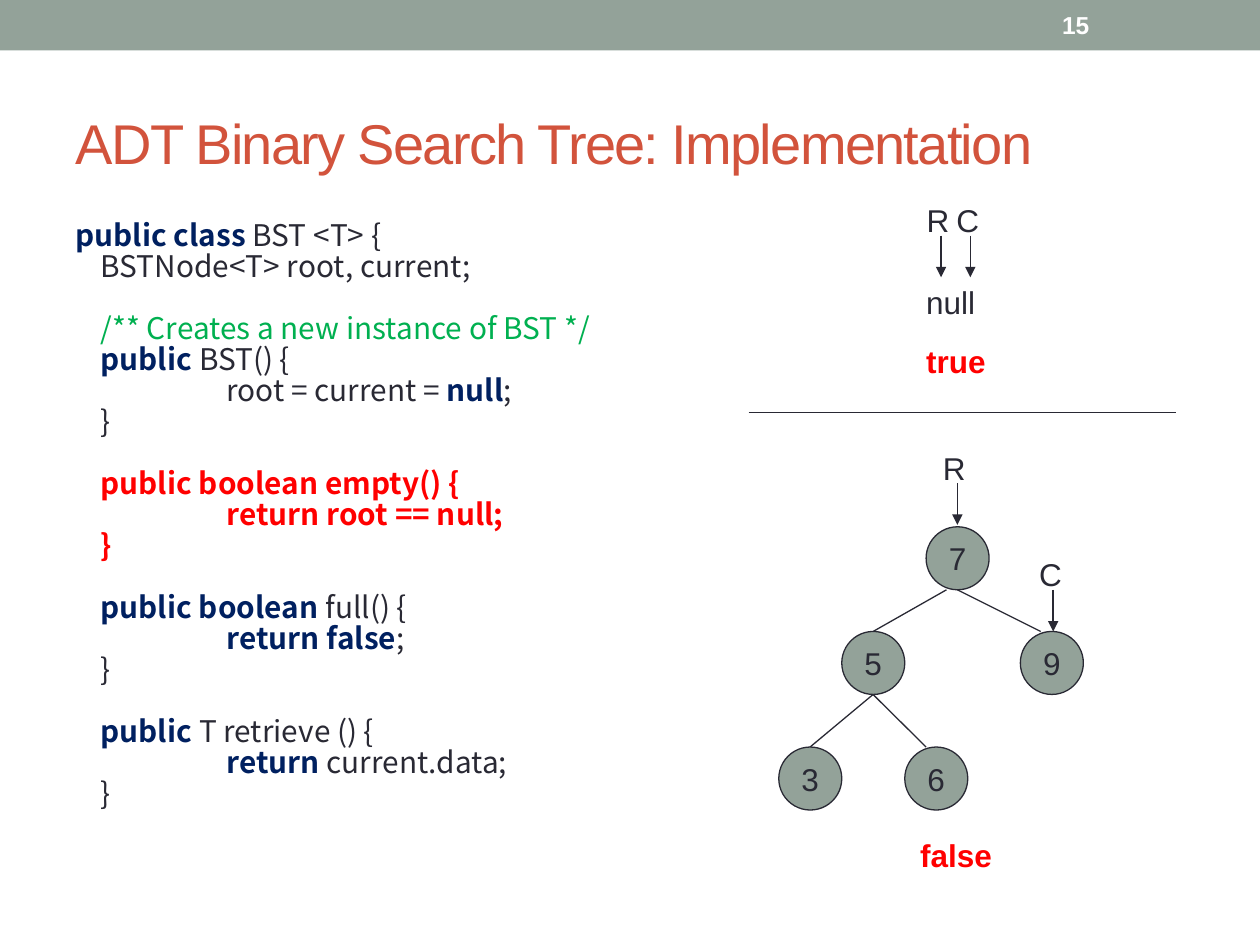
from lxml import etree
from pptx import Presentation
from pptx.dml.color import RGBColor
from pptx.enum.shapes import MSO_CONNECTOR, MSO_SHAPE
from pptx.enum.text import MSO_ANCHOR, PP_ALIGN
from pptx.oxml.ns import qn
from pptx.util import Cm, Pt

STRAIGHT = MSO_CONNECTOR.STRAIGHT
RECTANGLE, OVAL = MSO_SHAPE.RECTANGLE, MSO_SHAPE.OVAL
TOP, MIDDLE = MSO_ANCHOR.TOP, MSO_ANCHOR.MIDDLE
LEFT, CENTER = PP_ALIGN.LEFT, PP_ALIGN.CENTER

SAGE = RGBColor(0x93, 0xA2, 0x99)
INK = RGBColor(0x29, 0x29, 0x34)
RUST = RGBColor(0xD2, 0x53, 0x3C)
NAVY = RGBColor(0x00, 0x20, 0x60)
GREEN = RGBColor(0x00, 0xB0, 0x50)
RED = RGBColor(0xFF, 0x00, 0x00)
WHITE = RGBColor(0xFF, 0xFF, 0xFF)

# Text formats
TITLE = {"name": "Arial", "size": Pt(32), "bold": False, "color": RUST}
NUMBER = {"name": "Arial", "size": Pt(14), "bold": True, "color": WHITE}
LABEL = {"name": "Arial", "size": Pt(18), "bold": False, "color": INK}
RESULT = {**LABEL, "bold": True, "color": RED}
PLAIN = {"name": "Noto Sans CJK SC", "size": Pt(17), "bold": False, "color": INK}
KEYWORD = {**PLAIN, "bold": True, "color": NAVY}
COMMENT = {**PLAIN, "color": GREEN}
MARKED = {**PLAIN, "bold": True, "color": RED}

# Code blocks: each line is an indent level followed by its spans
INDENTS = (Cm(0), Cm(0.51), Cm(3.05))
LINE_GAP, BLOCK_GAP = Pt(3.4), Pt(21.1)
CLOSING = (1, ("}", PLAIN))
CODE_BLOCKS = [
    [(0, ("public class ", KEYWORD), ("BST <T> {", PLAIN)),
     (1, ("BSTNode<T> root, current;", PLAIN))],
    [(1, ("/** Creates a new instance of BST */", COMMENT)),
     (1, ("public ", KEYWORD), ("BST() {", PLAIN)),
     (2, ("root = current = ", PLAIN), ("null", KEYWORD), (";", PLAIN)),
     CLOSING],
    [(1, ("public boolean empty() {", MARKED)),
     (2, ("return root == null;", MARKED)),
     (1, ("}", MARKED))],
    [(1, ("public boolean ", KEYWORD), ("full() {", PLAIN)),
     (2, ("return false", KEYWORD), (";", PLAIN)),
     CLOSING],
    [(1, ("public ", KEYWORD), ("T retrieve () {", PLAIN)),
     (2, ("return ", KEYWORD), ("current.data;", PLAIN)),
     CLOSING],
]

# Tree and labels, in centimetres
NODE_SIZE = 1.27
NODES = [("7", 18.67, 10.62), ("5", 16.97, 12.73), ("9", 20.57, 12.73),
         ("3", 15.7, 15.06), ("6", 18.24, 15.06)]
EDGES = [(19.08, 11.89, 17.6, 12.73), (19.3, 11.89, 20.98, 12.73),
         (17.6, 14, 16.33, 15.06), (17.6, 14, 18.67, 15.06)]
LABEL_HEIGHT = 1.02
ARROW_OFFSET, ARROW_LENGTH = 0.82, 0.84
POINTERS = [("R", 18.43, 3.93, 18.97), ("C", 19.03, 3.93, 19.56),
            ("R", 18.76, 8.92, 19.3), ("C", 20.7, 11.07, 21.23)]
WORDS = [("null", 18.42, 5.58, 1.68, LABEL), ("true", 18.42, 6.78, 1.78, RESULT),
         ("false", 18.3, 16.73, 1.98, RESULT)]


def add_span(para, text, style):
    span = para.add_run()
    span.text = text
    for name, value in style.items():
        if name == "color":
            span.font.color.rgb = value
        else:
            setattr(span.font, name, value)
    return span


def add_title(page, text):
    title = page.shapes.title
    title.left, title.top, title.width, title.height = (
        Cm(1.27), Cm(1.49), Cm(22.86), Cm(2.74))
    title.text_frame.vertical_anchor = MIDDLE
    para = title.text_frame.paragraphs[0]
    para.alignment = LEFT
    span = add_span(para, text, TITLE)
    span.font._element.set("spc", "-100")


def add_box(page, left, top, width, height, anchor=TOP):
    box = page.shapes.add_textbox(Cm(left), Cm(top), Cm(width), Cm(height))
    box.text_frame.word_wrap = True
    box.text_frame.vertical_anchor = anchor
    return box.text_frame


def add_label(page, text, left, top, width, style, height=LABEL_HEIGHT, anchor=TOP):
    frame = add_box(page, left, top, width, height, anchor)
    frame.margin_right = 0
    add_span(frame.paragraphs[0], text, style)


def add_code(page):
    frame = add_box(page, 1.27, 4.45, 22.86, 13.54)
    para = frame.paragraphs[0]
    for block_index, block in enumerate(CODE_BLOCKS):
        for line_index, (level, *spans) in enumerate(block):
            if block_index or line_index:
                para = frame.add_paragraph()
            starts_block = block_index and not line_index
            para.space_before = BLOCK_GAP if starts_block else LINE_GAP
            para.line_spacing = 0.7
            para._p.get_or_add_pPr().set("marL", str(INDENTS[level]))
            for text, style in spans:
                add_span(para, text, style)


def add_filled(page, kind, left, top, width, height):
    shape = page.shapes.add_shape(kind, Cm(left), Cm(top), Cm(width), Cm(height))
    shape.shadow.inherit = False
    shape.fill.solid()
    shape.fill.fore_color.rgb = SAGE
    return shape


def add_node(page, text, left, top):
    node = add_filled(page, OVAL, left, top, NODE_SIZE, NODE_SIZE)
    node.line.color.rgb = INK
    node.line.width = Pt(0.75)
    frame = node.text_frame
    frame.word_wrap = False
    frame.vertical_anchor = MIDDLE
    para = frame.paragraphs[0]
    para.alignment = CENTER
    add_span(para, text, LABEL)


def add_line(page, x1, y1, x2, y2, arrow=False):
    line = page.shapes.add_connector(STRAIGHT, Cm(x1), Cm(y1), Cm(x2), Cm(y2))
    line.line.color.rgb = INK
    line.line.width = Pt(0.75)
    if arrow:
        head = etree.SubElement(line.line._get_or_add_ln(), qn("a:tailEnd"))
        head.set("type", "triangle")
    etree.SubElement(line._element.spPr, qn("a:effectLst"))


def add_pointer(page, text, left, top, arrow_x):
    add_label(page, text, left, top, 0.95, LABEL)
    start = top + ARROW_OFFSET
    add_line(page, arrow_x, start, arrow_x, start + ARROW_LENGTH, arrow=True)


def main():
    deck = Presentation()
    deck.slide_width, deck.slide_height = Cm(25.4), Cm(19.05)
    page = deck.slides.add_slide(deck.slide_layouts.get_by_name("Title Only"))

    # Header band, page number and title
    band = add_filled(page, RECTANGLE, 0, 0, 25.4, 1.02)
    band.line.fill.background()
    add_label(page, "15", 21.16, 0.05, 2.97, NUMBER, height=0.91, anchor=MIDDLE)
    add_title(page, "ADT Binary Search Tree: Implementation")

    # Class listing
    add_code(page)

    # Tree, pointers and results
    for edge in EDGES:
        add_line(page, *edge)
    for node in NODES:
        add_node(page, *node)
    for pointer in POINTERS:
        add_pointer(page, *pointer)
    for word in WORDS:
        add_label(page, *word)

    # Divider between the two cases
    add_line(page, 15.09, 8.32, 23.7, 8.32)

    deck.save("out.pptx")


if __name__ == "__main__":
    main()
